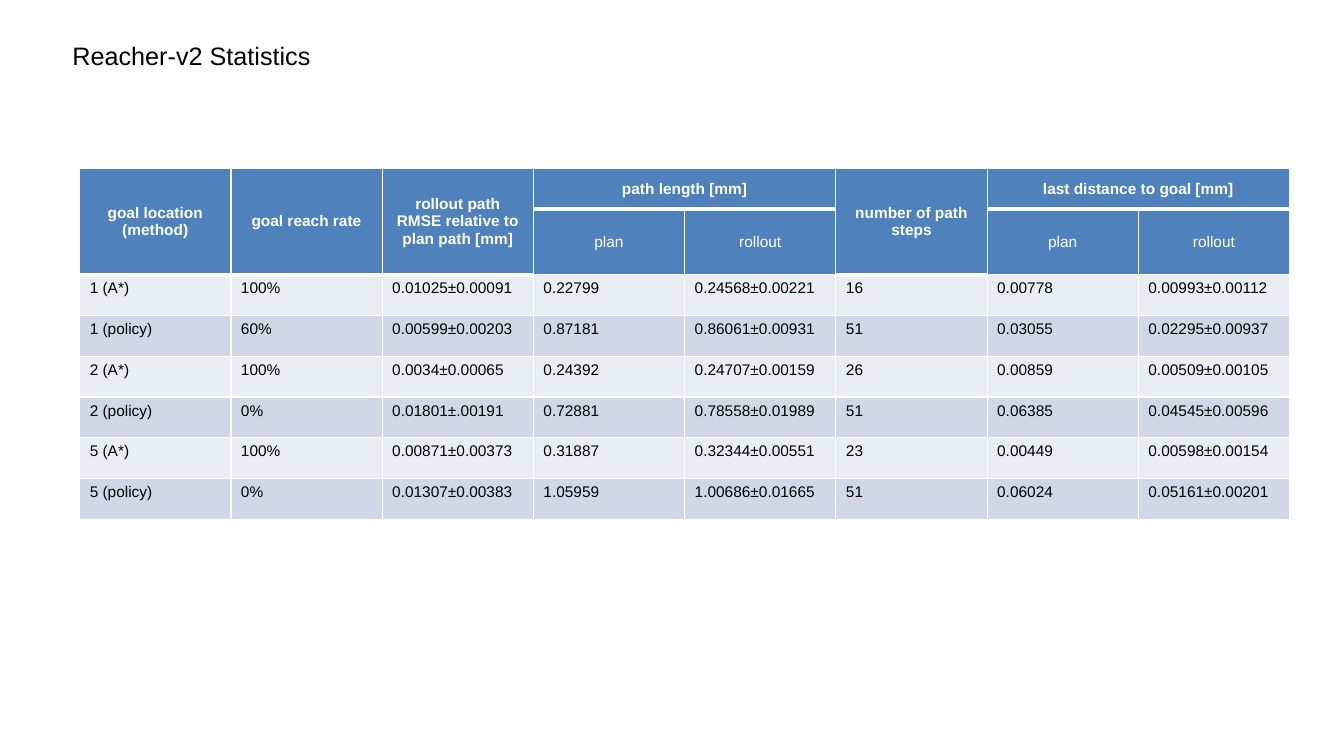
"""Build the Reacher-v2 statistics slide."""
from dataclasses import dataclass

from lxml import etree
from pptx import Presentation
from pptx.dml.color import RGBColor
from pptx.enum.text import MSO_ANCHOR, MSO_AUTO_SIZE, PP_ALIGN
from pptx.oxml.ns import qn
from pptx.slide import Slide
from pptx.table import Table, _Cell
from pptx.util import Inches, Pt

MIDDLE, TOP = MSO_ANCHOR.MIDDLE, MSO_ANCHOR.TOP
CENTER, LEFT = PP_ALIGN.CENTER, PP_ALIGN.LEFT
GROW = MSO_AUTO_SIZE.SHAPE_TO_FIT_TEXT

WHITE = RGBColor(0xFF, 0xFF, 0xFF)
BLACK = RGBColor(0x00, 0x00, 0x00)
BLUE = RGBColor(0x4F, 0x81, 0xBD)
BANDS = (RGBColor(0xE9, 0xED, 0xF4), RGBColor(0xD0, 0xD8, 0xE8))

WIDE, HIGH = Inches(13.33), Inches(7.5)
COL, ROW, TALL = Inches(1.5), Inches(3.24 / 8), Inches(0.65)
EDGES = {"a:lnL": 1, "a:lnR": 1, "a:lnT": 1, "a:lnB": 3}


@dataclass(frozen=True)
class Head:
    """A header cell with its place and span on the grid."""
    text: str
    row: int
    col: int
    rows: int = 1
    cols: int = 1


@dataclass(frozen=True)
class Look:
    """The format of a table cell."""
    fill: RGBColor
    color: RGBColor
    bold: bool
    align: PP_ALIGN
    anchor: MSO_ANCHOR


HEADS = (
    Head("goal location (method)", 0, 0, rows=2),
    Head("goal reach rate", 0, 1, rows=2),
    Head("rollout path RMSE relative to plan path [mm]", 0, 2, rows=2),
    Head("path length [mm]", 0, 3, cols=2),
    Head("number of path steps", 0, 5, rows=2),
    Head("last distance to goal [mm]", 0, 6, cols=2),
    *(Head(text, 1, col + i) for col in (3, 6)
      for i, text in enumerate(("plan", "rollout"))),
)
DATA = (
    ("1 (A*)", "100%", "0.01025±0.00091", "0.22799", "0.24568±0.00221",
     "16", "0.00778", "0.00993±0.00112"),
    ("1 (policy)", "60%", "0.00599±0.00203", "0.87181", "0.86061±0.00931",
     "51", "0.03055", "0.02295±0.00937"),
    ("2 (A*)", "100%", "0.0034±0.00065", "0.24392", "0.24707±0.00159",
     "26", "0.00859", "0.00509±0.00105"),
    ("2 (policy)", "0%", "0.01801±.00191", "0.72881", "0.78558±0.01989",
     "51", "0.06385", "0.04545±0.00596"),
    ("5 (A*)", "100%", "0.00871±0.00373", "0.31887", "0.32344±0.00551",
     "23", "0.00449", "0.00598±0.00154"),
    ("5 (policy)", "0%", "0.01307±0.00383", "1.05959", "1.00686±0.01665",
     "51", "0.06024", "0.05161±0.00201"),
)


def apply(item: object, values: dict[str, object]) -> None:
    """Set each named attribute of an item."""
    for name, value in values.items():
        setattr(item, name, value)


def rule(cell: _Cell) -> None:
    """Draw the white edges of a top header cell."""
    props = cell._tc.get_or_add_tcPr()
    for tag, width in EDGES.items():
        line = etree.SubElement(props, qn(tag), w=str(Pt(width)))
        fill = etree.SubElement(line, qn("a:solidFill"))
        etree.SubElement(fill, qn("a:srgbClr"), val=str(WHITE))


def write(cell: _Cell, text: str, look: Look) -> None:
    """Fill a cell and write its text."""
    apply(cell, {"text": text, "vertical_anchor": look.anchor})
    cell.fill.solid()
    cell.fill.fore_color.rgb = look.fill
    para = cell.text_frame.paragraphs[0]
    para.alignment = look.align
    font = para.runs[0].font
    apply(font, {"name": "Arial", "size": Pt(11), "bold": look.bold})
    font.color.rgb = look.color


def add_heads(table: Table) -> None:
    """Place and merge the header cells."""
    for head in HEADS:
        cell = table.cell(head.row, head.col)
        if head.rows * head.cols > 1:
            cell.merge(table.cell(head.row + head.rows - 1,
                                  head.col + head.cols - 1))
        if head.row == 0:
            rule(cell)
        write(cell, head.text,
              Look(BLUE, WHITE, head.row == 0, CENTER, MIDDLE))


def add_grid(slide: Slide) -> None:
    """Add the statistics table."""
    rows, cols = len(DATA) + 2, len(DATA[0])
    table = slide.shapes.add_table(
        rows, cols, Inches(0.79), Inches(1.67), cols * COL,
        (rows - 1) * ROW + TALL).table
    for col in table.columns:
        col.width = COL
    for i, row in enumerate(table.rows):
        row.height = TALL if i == 1 else ROW
    add_heads(table)
    for i, line in enumerate(DATA):
        look = Look(BANDS[i % 2], BLACK, False, LEFT, TOP)
        for j, text in enumerate(line):
            write(table.cell(i + 2, j), text, look)


def add_title(slide: Slide) -> None:
    """Add the slide title."""
    box = slide.shapes.add_textbox(
        Inches(0.62), Inches(0.35), Inches(12.1), Inches(0.4))
    frame = box.text_frame
    apply(frame, {"text": "Reacher-v2 Statistics", "word_wrap": True,
                  "auto_size": GROW})
    font = frame.paragraphs[0].runs[0].font
    apply(font, {"name": "Arial", "size": Pt(18)})
    font.color.rgb = BLACK


def main() -> None:
    """Build and save the deck."""
    deck = Presentation()
    apply(deck, {"slide_width": WIDE, "slide_height": HIGH})
    slide = deck.slides.add_slide(deck.slide_layouts[6])
    add_grid(slide)
    add_title(slide)
    deck.save("out.pptx")


if __name__ == "__main__":
    main()
